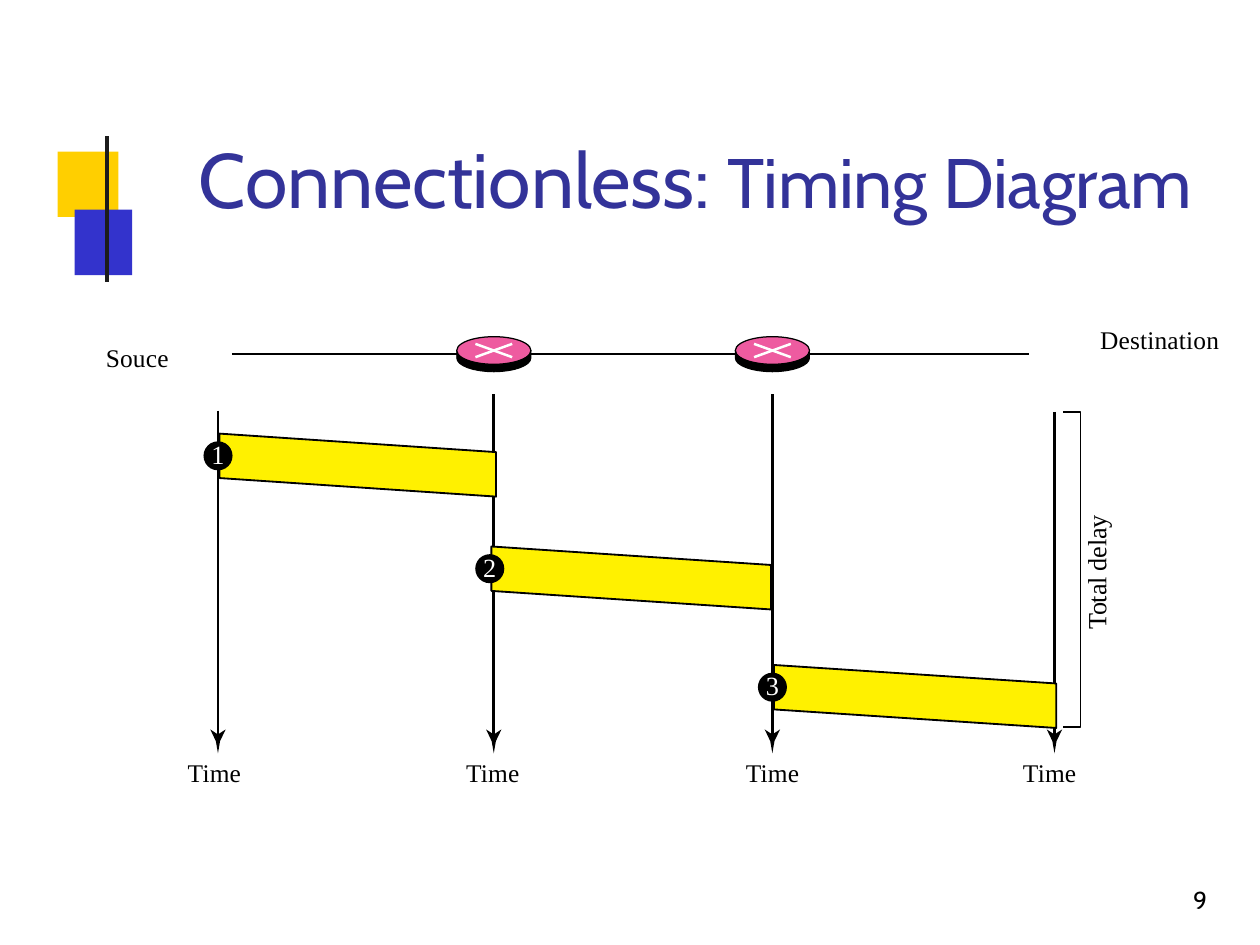
from dataclasses import dataclass
from math import cos, pi, sin

from lxml.etree import SubElement
from pptx import Presentation
from pptx.dml.color import RGBColor
from pptx.enum.shapes import MSO_CONNECTOR as Link, MSO_SHAPE as Preset
from pptx.enum.text import MSO_ANCHOR as Anchor, PP_ALIGN as Align
from pptx.oxml.ns import qn
from pptx.util import Pt


@dataclass(frozen=True)
class Theme:
    black: str = "000000"
    white: str = "FFFFFF"
    gold: str = "FFCF00"
    blue: str = "3333CC"
    rule: str = "1C1C1C"
    title: str = "333399"
    packet: str = "FFF100"
    router: str = "EE5BA0"
    heading_font: str = "Cabin"
    label_font: str = "Times New Roman"
    title_size: float = 44
    subtitle_size: float = 40
    label_size: float = 14.5
    delay_size: float = 15
    number_size: float = 14


THEME = Theme()


@dataclass(frozen=True)
class Box:
    left: float
    top: float
    width: float
    height: float

    def lengths(self):
        return [Pt(v) for v in (self.left, self.top, self.width, self.height)]


def apply(target, values):
    for name, value in values.items():
        setattr(target, name, value)


def paint(shape, fill=None, line=None, weight=1):
    shape.shadow.inherit = False
    if fill:
        shape.fill.solid()
        shape.fill.fore_color.rgb = RGBColor.from_string(fill)
    else:
        shape.fill.background()
    if line:
        shape.line.color.rgb = RGBColor.from_string(line)
        shape.line.width = Pt(weight)
    else:
        shape.line.fill.background()
    return shape


def add_preset(page, kind, box, fill, **outline):
    return paint(page.shapes.add_shape(kind, *box.lengths()), fill, **outline)


def add_outline(page, points, fill=None, line=None, weight=1, close=True):
    start, *rest = [(Pt(x), Pt(y)) for x, y in points]
    builder = page.shapes.build_freeform(*start)
    builder.add_line_segments(rest, close=close)
    return paint(builder.convert_to_shape(), fill, line, weight)


def add_line(page, x1, y1, x2, y2, color, weight):
    line = page.shapes.add_connector(Link.STRAIGHT, Pt(x1), Pt(y1), Pt(x2), Pt(y2))
    line.line.color.rgb = RGBColor.from_string(color)
    line.line.width = Pt(weight)
    SubElement(line._element.spPr, qn("a:effectLst"))


def write(shape, spans, font, color, align=Align.LEFT, spacing=None,
          wrap=False, anchor=Anchor.TOP):
    """Each span is (text, size, letter spacing in points)."""
    frame = shape.text_frame
    apply(frame, dict(margin_left=0, margin_top=0, margin_right=0,
                      margin_bottom=0, word_wrap=wrap, vertical_anchor=anchor))
    para = frame.paragraphs[0]
    para.alignment = align
    if spacing:
        para.line_spacing = Pt(spacing)
    for text, size, tracking in spans:
        span = para.add_run()
        span.text = text
        apply(span.font, dict(name=font, size=Pt(size)))
        span.font.color.rgb = RGBColor.from_string(color)
        span._r.get_or_add_rPr().set("spc", str(round(tracking * 100)))
    return frame


def add_label(page, box, text, size=THEME.label_size, tracking=0.1, **layout):
    shape = page.shapes.add_textbox(*box.lengths())
    return write(shape, [(text, size, tracking)], THEME.label_font, THEME.black, **layout)


def add_ornament(page, box):
    x, y = box.left, box.top
    add_preset(page, Preset.RECTANGLE, Box(x, y + 8.6, 34.6, 37.4), THEME.gold)
    add_preset(page, Preset.RECTANGLE, Box(x + 9.6, y + 41.8, 33, 37.4), THEME.blue)
    add_line(page, x + 28.2, y, x + 28.2, y + box.height, THEME.rule, 2.52)


def add_title(page, box):
    write(page.shapes.add_textbox(*box.lengths()),
          [("Connectionless: ", THEME.title_size, -0.1),
           ("Timing Diagram", THEME.subtitle_size, -0.1)],
          THEME.heading_font, THEME.title, Align.CENTER, 52.5, wrap=True)


def add_time_axis(page, box, label_left):
    x = box.left
    bottom = box.top + box.height
    add_line(page, x, box.top, x, bottom - 10, THEME.black, 1.59)
    head = [(-4.4, -13.7), (0, -10.8), (4.4, -13.7), (1.2, -7), (0, 0), (-1.2, -7)]
    add_outline(page, [(x + dx, bottom + dy) for dx, dy in head], THEME.black)
    add_label(page, Box(label_left, bottom + 2.2, 33.8, 18.7), "Time")


def add_router(page, box):
    middle, radius = box.left + box.width / 2, box.width / 2
    side = box.top + 7.9
    # Black side wall, closed below by half an ellipse
    arc = [(middle + radius * cos(pi * step / 16), side + 4.3 + 7.9 * sin(pi * step / 16))
           for step in range(17)]
    wall = [(middle - radius, side), (middle + radius, side), *arc]
    add_outline(page, wall, THEME.black, THEME.black, 0.53)
    # Top face with its cross
    add_preset(page, Preset.OVAL, Box(box.left, box.top, box.width, 15.8),
               THEME.router, line=THEME.black, weight=0.71)
    for rise in (-3.8, 3.8):
        add_line(page, middle - 10.5, side + rise, middle + 10.5, side - rise,
                 THEME.white, 1.41)


def add_packet(page, box, number):
    slant, left, right = 10.6, box.left, box.left + box.width
    bottom = box.top + box.height
    corners = [(left, box.top), (right, box.top + slant),
               (right, bottom), (left, bottom - slant)]
    add_outline(page, corners, THEME.packet, THEME.black, 1.05)
    disc = add_preset(page, Preset.OVAL, Box(left - 9.2, box.top + 4.4, 16.6, 16.6), THEME.black)
    frame = write(disc, [(str(number), THEME.delay_size, 0)], THEME.label_font,
                  THEME.white, Align.CENTER, anchor=Anchor.MIDDLE)
    frame.margin_bottom = Pt(2)


def add_delay(page, box):
    left, top, right, bottom = box.left, box.top, box.left + 10, box.top + box.height
    add_outline(page, [(left, bottom), (right, bottom), (right, top), (left, top)],
                line=THEME.black, weight=0.71, close=False)
    frame = add_label(page, Box(left + 11.5, top + 54.8, 17.3, 69.8), "Total delay",
                      THEME.delay_size, -0.1, spacing=16.1)
    frame._txBody.bodyPr.set("vert", "vert270")


def add_diagram(page, box):
    x, y = box.left, box.top
    bottom = y + box.height
    # Time axes: offset, top, label offset
    axes = [(64.6, 54.7, 47.3), (222.2, 45.4, 206.4), (381.4, 45.4, 366.2), (542.6, 55.4, 524.6)]
    for offset, top, label in axes:
        add_time_axis(page, Box(x + offset, y + top, 0, bottom - y - top), x + label)
    # Network path
    add_line(page, x + 72.5, y + 22.3, x + 528.2, y + 22.3, THEME.black, 1.06)
    add_label(page, Box(x + 0.5, y + 15.8, 38.2, 18.7), "Souce")
    add_label(page, Box(x + 568.6, y + 5, 70.6, 18.7), "Destination")
    for offset, *_ in axes[1:3]:
        add_router(page, Box(x + offset - 21.2, y + 12.4, 42.4, 20))
    # Packets: offset, top, width
    packets = [(65.5, 67.8, 158), (220.8, 132.3, 159.8), (382.3, 200, 161.3)]
    for number, (offset, top, width) in enumerate(packets, 1):
        add_packet(page, Box(x + offset, y + top, width, 36), number)
    add_delay(page, Box(x + 547.6, y + 55.4, 27.5, 180))


def add_page_number(page, box):
    write(page.shapes.add_textbox(*box.lengths()), [("9", THEME.number_size, 0)],
          THEME.heading_font, THEME.black, spacing=15.5)


def main():
    deck = Presentation()
    apply(deck, dict(slide_width=Pt(720), slide_height=Pt(540)))
    page = deck.slides.add_slide(deck.slide_layouts[6])
    add_ornament(page, Box(33, 78, 43, 83))
    add_title(page, Box(98, 75.6, 599, 52.6))
    add_diagram(page, Box(60, 180, 640, 250.5))
    add_page_number(page, Box(681.8, 506.9, 17.3, 16.6))
    deck.save("out.pptx")


if __name__ == "__main__":
    main()
